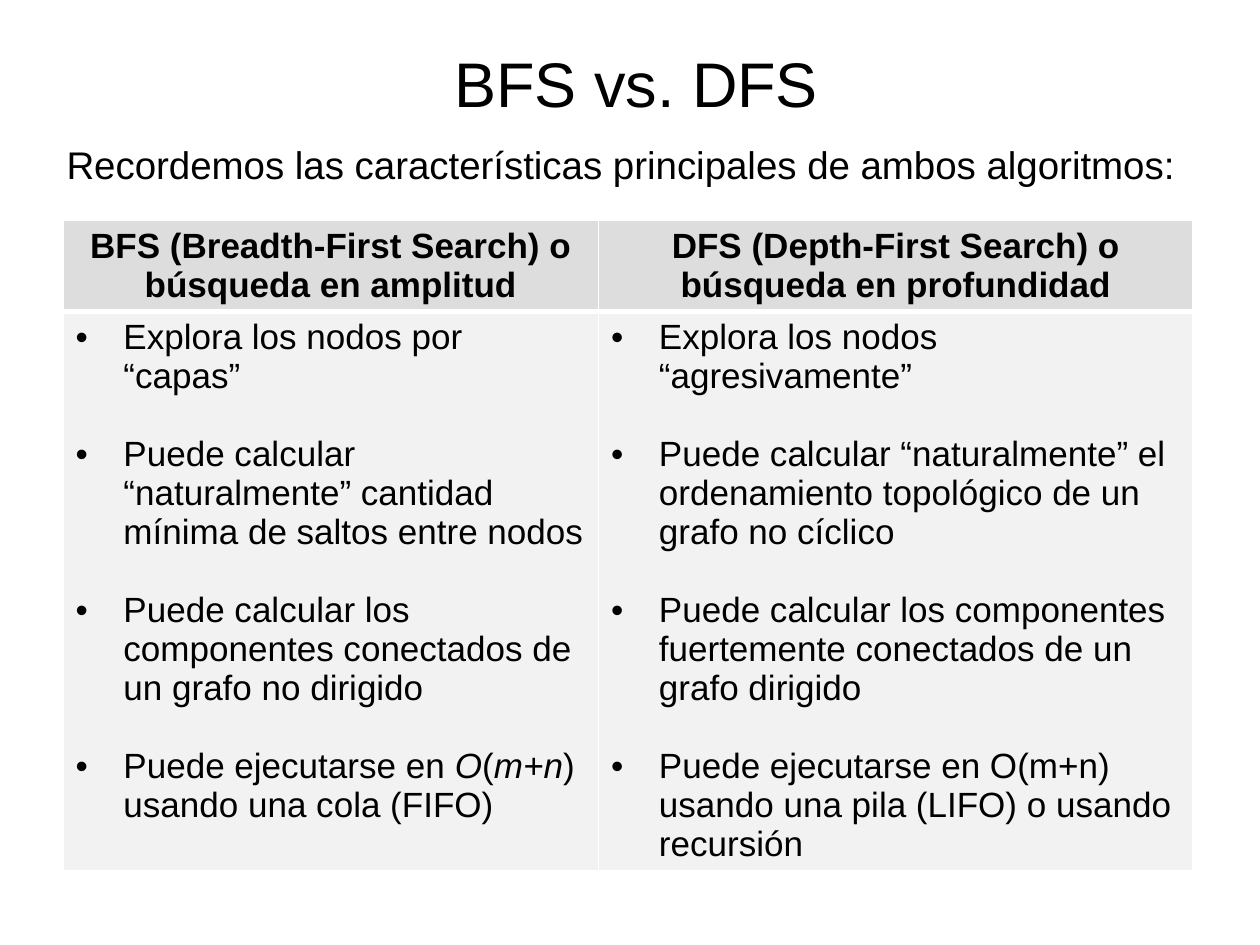
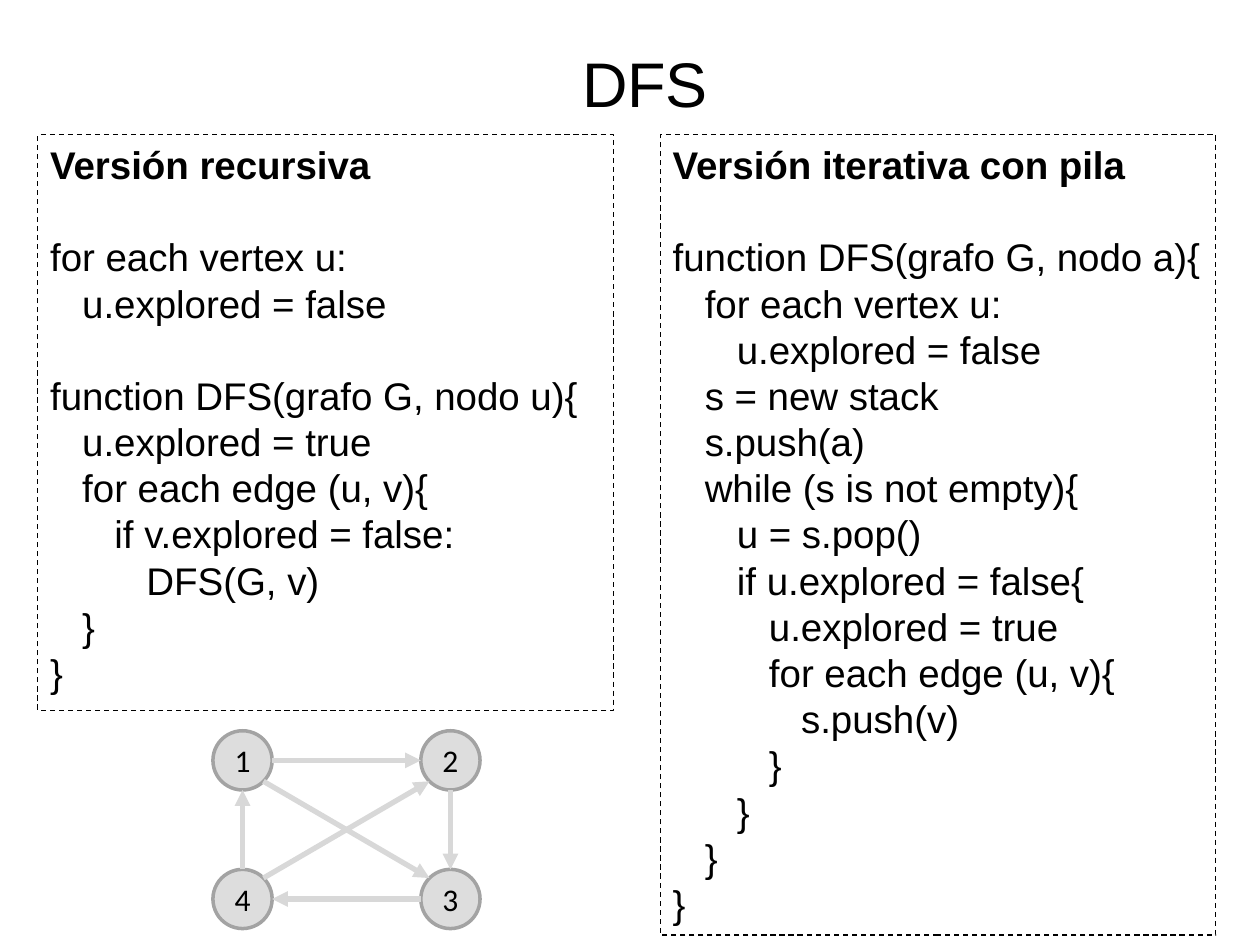
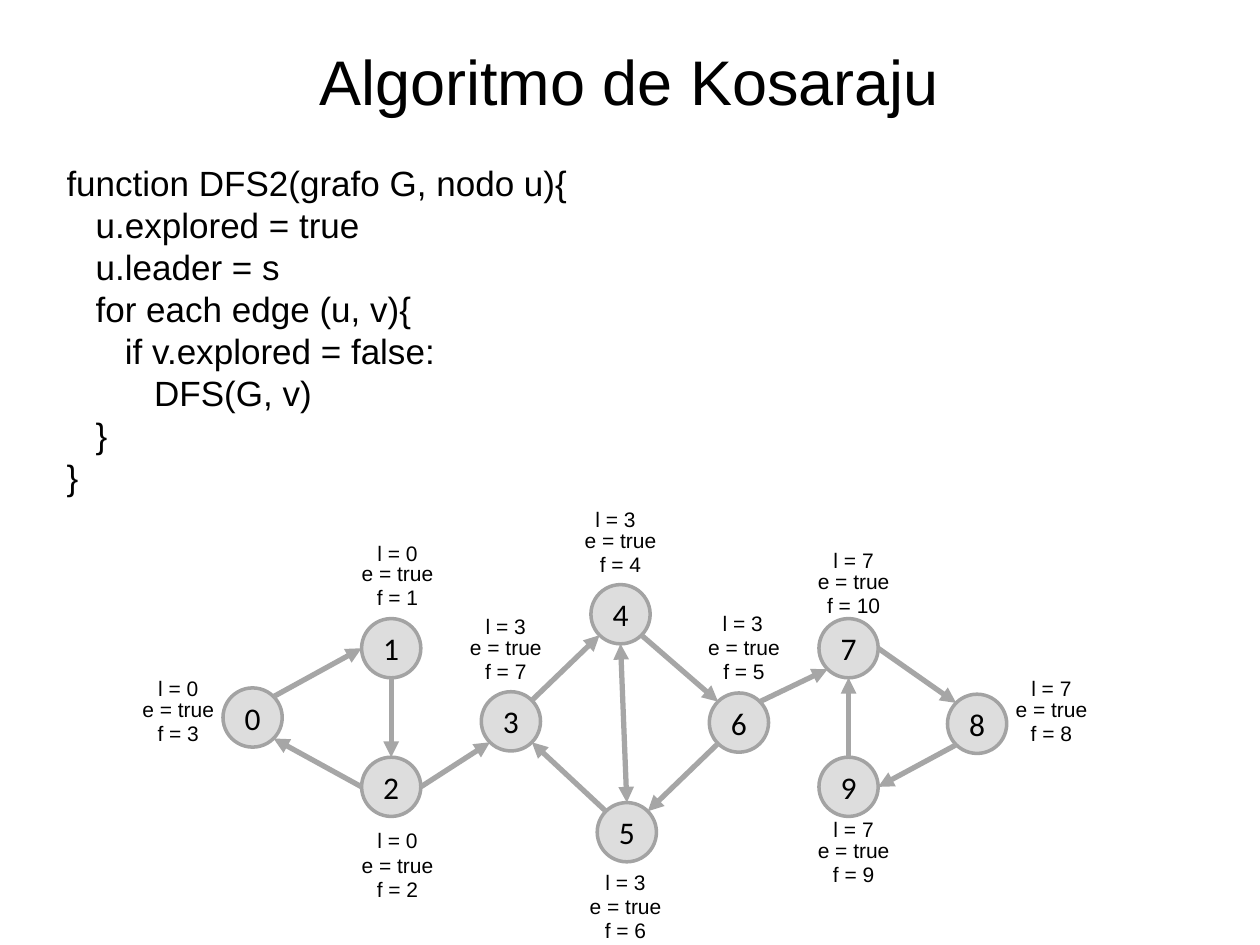
from math import cos, radians, sin

from lxml.etree import SubElement
from pptx import Presentation
from pptx.dml.color import RGBColor
from pptx.enum.dml import MSO_LINE
from pptx.enum.shapes import MSO_CONNECTOR, MSO_SHAPE
from pptx.enum.text import MSO_ANCHOR, MSO_AUTO_SIZE, PP_ALIGN
from pptx.oxml.ns import qn
from pptx.util import Inches, Pt

BLACK, WHITE = "000000", "FFFFFF"
NODE_FILL, NODE_LINE = "DDDDDD", "A3A3A3"
HEAD_FILL, BODY_FILL = "DDDDDD", "F2F2F2"
LIGHT_EDGE, DARK_EDGE = "D8D8D8", "A6A6A6"

TITLE = {"size": Pt(36), "name": "Arial", "bold": False}
NODE = {"size": Pt(18), "name": "Calibri", "bold": False}
LABEL = {"size": Pt(12), "name": "Arial"}
CELL = {"size": Pt(20), "name": "Arial", "bold": False}
HEAD = {**CELL, "bold": True}
CELL_PITCH = Pt(22.3)

NODE_SIZE = 0.47
LABEL_SIZE = (0.87, 0.3)
TITLE_BOX = (0.83, 0.21, 8.58, 0.79)
# Connection sites of a circle: degrees counter-clockwise from the top
SITES = {s: 45 * i for i, s in enumerate(["N", "NW", "W", "SW", "S", "SE", "E", "NE"])}

INTRO = "Recordemos las características principales de ambos algoritmos:"
COMPARISON = [
    (4.25, "BFS (Breadth-First Search) o búsqueda en amplitud", [
        ["Explora los nodos por “capas”"],
        ["Puede calcular “naturalmente” cantidad mínima de saltos entre nodos"],
        ["Puede calcular los componentes conectados de un grafo no dirigido"],
        # every second run is italic
        ["Puede ejecutarse en ", "O", "(", "m+n", ") usando una cola (FIFO)"],
    ]),
    (4.72, "DFS (Depth-First Search) o búsqueda en profundidad", [
        ["Explora los nodos “agresivamente”"],
        ["Puede calcular “naturalmente” el ordenamiento topológico de un grafo no cíclico"],
        ["Puede calcular los componentes fuertemente conectados de un grafo dirigido"],
        ["Puede ejecutarse en O(m+n) usando una pila (LIFO) o usando recursión"],
    ]),
]
ROW_HEIGHTS = (0.72, 4.43)

# Code: (indent level, text); None leaves one line free
ITERATIVE = [
    (0, "Versión iterativa con pila"),
    None,
    (0, "function DFS(grafo G, nodo a){"),
    (1, "for each vertex u:"),
    (2, "u.explored = false"),
    (1, "s = new stack"),
    (1, "s.push(a)"),
    (1, "while (s is not empty){"),
    (2, "u = s.pop()"),
    (2, "if u.explored = false{"),
    (3, "u.explored = true"),
    (3, "for each edge (u, v){"),
    (4, "s.push(v)"),
    (3, "}"),
    (2, "}"),
    (1, "}"),
    (0, "}"),
]
LOOP = [
    (1, "for each edge (u, v){"),
    (2, "if v.explored = false:"),
    (3, "DFS(G, v)"),
    (1, "}"),
    (0, "}"),
]
RECURSIVE = [
    (0, "Versión recursiva"),
    None,
    (0, "for each vertex u:"),
    (1, "u.explored = false"),
    None,
    (0, "function DFS(grafo G, nodo u){"),
    (1, "u.explored = true"),
] + LOOP
DFS2 = [
    (0, "function DFS2(grafo G, nodo u){"),
    (1, "u.explored = true"),
    (1, "u.leader = s"),
] + LOOP
CODE_PANELS = [(ITERATIVE, (5.24, 1.07, 4.41, 6.35)), (RECURSIVE, (0.3, 1.07, 4.57, 4.57))]

# Graphs: node -> left, top; edges: from, site, to, site
SMALL_NODES = {1: (1.69, 5.8), 2: (3.34, 5.8), 3: (3.34, 6.9), 4: (1.69, 6.9)}
SMALL_EDGES = [
    (4, "NE", 2, "SW"), (4, "N", 1, "S"), (1, "E", 2, "W"),
    (2, "S", 3, "N"), (1, "SE", 3, "NW"), (3, "W", 4, "E"),
]
KOSARAJU_NODES = {
    0: (1.77, 5.46), 1: (2.87, 4.91), 2: (2.87, 6.01), 3: (3.82, 5.49), 4: (4.69, 4.64),
    5: (4.74, 6.37), 6: (5.63, 5.5), 7: (6.5, 4.91), 8: (7.52, 5.51), 9: (6.5, 6.01),
}
KOSARAJU_EDGES = [
    (0, "NE", 1, "W"), (1, "S", 2, "N"), (2, "W", 0, "SE"), (2, "E", 3, "SW"),
    (3, "NE", 4, "SW"), (4, "SE", 6, "NW"), (6, "SW", 5, "NE"), (5, "NW", 3, "SE"),
    (4, "S", 5, "N"), (6, "NE", 7, "SW"), (7, "E", 8, "NW"), (8, "SW", 9, "E"),
    (9, "N", 7, "S"),
]
TWO_WAY = [(4, 5)]
# leader, finishing time, place of the leader label, place of the explored label
NODE_LABELS = [
    (0, 3, (0.98, 5.31), (0.98, 5.48)),
    (0, 1, (2.72, 4.24), (2.72, 4.4)),
    (0, 2, (2.72, 6.52), (2.72, 6.72)),
    (3, 7, (3.58, 4.82), (3.58, 4.99)),
    (3, 4, (4.45, 3.97), (4.49, 4.14)),
    (3, 6, (4.53, 6.85), (4.53, 7.04)),
    (3, 5, (5.46, 4.8), (5.47, 4.99)),
    (7, 10, (6.34, 4.3), (6.34, 4.46)),
    (7, 8, (7.91, 5.31), (7.91, 5.48)),
    (7, 9, (6.34, 6.43), (6.34, 6.6)),
]
FINISH_GAP = 0.19


def rgb(color):
    return RGBColor.from_string(color)


def inches(values):
    return [Inches(v) for v in values]


def add_run(p, text, style, **extra):
    r = p.add_run()
    r.text = text
    for name, value in {**style, **extra}.items():
        setattr(r.font, name, value)
    r.font.color.rgb = rgb(BLACK)


def add_title(prs, text, box=TITLE_BOX):
    slide = prs.slides.add_slide(prs.slide_layouts[5])
    sp = slide.shapes.title
    sp.left, sp.top, sp.width, sp.height = inches(box)
    tf = sp.text_frame
    tf.auto_size, tf.vertical_anchor = MSO_AUTO_SIZE.NONE, MSO_ANCHOR.BOTTOM
    p = tf.paragraphs[0]
    p.alignment = PP_ALIGN.CENTER
    add_run(p, text, TITLE)
    return slide


def add_text_box(slide, box):
    sp = slide.shapes.add_textbox(*inches(box))
    sp.text_frame.word_wrap = True
    return sp


def add_shape(slide, kind, box, line, width, fill=None):
    sp = slide.shapes.add_shape(kind, *inches(box))
    sp.shadow.inherit = False
    if fill:
        sp.fill.solid()
        sp.fill.fore_color.rgb = rgb(fill)
    else:
        sp.fill.background()
    sp.line.color.rgb, sp.line.width = rgb(line), Pt(width)
    return sp


def write_lines(tf, lines, size, heading=False):
    """Write indented lines; with heading, the first one is bold."""
    tf.vertical_anchor = MSO_ANCHOR.TOP
    before, p = 0, None
    for line in lines:
        if line is None:
            before = 1.2 * size
            continue
        level, text = line
        bold = heading and p is None
        p = tf.add_paragraph() if p else tf.paragraphs[0]
        p.alignment, p.space_before = PP_ALIGN.JUSTIFY, Pt(before)
        if level:
            p._p.get_or_add_pPr().set("marL", str(Pt(level * 0.834 * size)))
        add_run(p, text, {"size": Pt(size), "name": "Arial", "bold": bold})
        before = 0


def add_nodes(slide, nodes):
    for number, place in nodes.items():
        sp = add_shape(slide, MSO_SHAPE.OVAL, (*place, NODE_SIZE, NODE_SIZE),
                       NODE_LINE, 2, NODE_FILL)
        tf = sp.text_frame
        tf.margin_left = tf.margin_right = tf.margin_top = tf.margin_bottom = 0
        tf.vertical_anchor = MSO_ANCHOR.MIDDLE
        p = tf.paragraphs[0]
        p.alignment = PP_ALIGN.CENTER
        add_run(p, str(number), NODE)


def site_point(place, site):
    angle, radius = radians(SITES[site]), NODE_SIZE / 2
    return place[0] + radius * (1 - sin(angle)), place[1] + radius * (1 - cos(angle))


def add_edges(slide, nodes, edges, color, two_way=()):
    for a, site_a, b, site_b in edges:
        ends = site_point(nodes[a], site_a) + site_point(nodes[b], site_b)
        cx = slide.shapes.add_connector(MSO_CONNECTOR.STRAIGHT, *inches(ends))
        cx.line.color.rgb, cx.line.width = rgb(color), Pt(3)
        ln = cx.line._get_or_add_ln()
        for tag in ["a:headEnd", "a:tailEnd"] if (a, b) in two_way else ["a:tailEnd"]:
            SubElement(ln, qn(tag), type="triangle")
        SubElement(cx._element.spPr, qn("a:effectLst"))


def format_cell(cell, fill, top, bottom):
    tcPr = cell._tc.get_or_add_tcPr()
    for tag, width in {"a:lnL": 1, "a:lnR": 1, "a:lnT": top, "a:lnB": bottom}.items():
        ln = SubElement(tcPr, qn(tag), w=str(Pt(width)))
        SubElement(SubElement(ln, qn("a:solidFill")), qn("a:srgbClr"), val=WHITE)
    cell.fill.solid()
    cell.fill.fore_color.rgb = rgb(fill)


def add_bullet(p, runs):
    pPr = p._p.get_or_add_pPr()
    pPr.set("marL", str(Inches(0.38)))
    pPr.set("indent", str(Inches(-0.38)))
    SubElement(pPr, qn("a:buFont"), typeface="Arial")
    SubElement(pPr, qn("a:buChar"), char="•")
    for i, text in enumerate(runs):
        add_run(p, text, CELL, italic=i % 2 == 1)


def add_comparison(slide):
    widths = [column[0] for column in COMPARISON]
    frame = slide.shapes.add_table(2, len(widths), *inches((0.5, 1.75, sum(widths), sum(ROW_HEIGHTS))))
    table = frame.table
    table.first_row = table.horz_banding = False
    for row, height in zip(table.rows, ROW_HEIGHTS):
        row.height = Inches(height)
    for i, (width, heading, points) in enumerate(COMPARISON):
        table.columns[i].width = Inches(width)
        head, body = table.cell(0, i), table.cell(1, i)
        format_cell(head, HEAD_FILL, 1, 3)
        format_cell(body, BODY_FILL, 3, 1)
        p = head.text_frame.paragraphs[0]
        p.alignment, p.line_spacing = PP_ALIGN.CENTER, CELL_PITCH
        add_run(p, heading, HEAD)
        tf = body.text_frame
        for j, runs in enumerate(points):
            p = tf.add_paragraph() if j else tf.paragraphs[0]
            p.line_spacing = CELL_PITCH
            p.space_before = CELL_PITCH if j else 0
            add_bullet(p, runs)


def add_label(slide, text, place):
    tf = add_text_box(slide, (*place, *LABEL_SIZE)).text_frame
    tf.auto_size = MSO_AUTO_SIZE.SHAPE_TO_FIT_TEXT
    p = tf.paragraphs[0]
    p.alignment = PP_ALIGN.CENTER
    add_run(p, text, LABEL)


def comparison_slide(prs):
    slide = add_title(prs, "BFS vs. DFS ")
    write_lines(add_text_box(slide, (0.43, 1.07, 9.13, 0.71)).text_frame, [(0, INTRO)], 22)
    add_comparison(slide)


def dfs_slide(prs):
    slide = add_title(prs, "DFS")
    for lines, box in CODE_PANELS:
        sp = add_shape(slide, MSO_SHAPE.RECTANGLE, box, BLACK, 0.75)
        sp.line.dash_style = MSO_LINE.DASH
        write_lines(sp.text_frame, lines, 22, heading=True)
    add_nodes(slide, SMALL_NODES)
    add_edges(slide, SMALL_NODES, SMALL_EDGES, LIGHT_EDGE)


def kosaraju_slide(prs):
    slide = add_title(prs, "Algoritmo de Kosaraju", (0.43, 0.36, 9.13, 0.63))
    write_lines(add_text_box(slide, (0.43, 1.23, 8.9, 3.07)).text_frame, DFS2, 20)
    add_nodes(slide, KOSARAJU_NODES)
    add_edges(slide, KOSARAJU_NODES, KOSARAJU_EDGES, DARK_EDGE, TWO_WAY)
    for leader, finish, leader_at, (left, top) in NODE_LABELS:
        add_label(slide, f"l = {leader}", leader_at)
        add_label(slide, "e = true", (left, top))
        add_label(slide, f"f = {finish}", (left, top + FINISH_GAP))


def main():
    prs = Presentation()
    prs.slide_width, prs.slide_height = Inches(10), Inches(7.5)
    comparison_slide(prs)
    dfs_slide(prs)
    kosaraju_slide(prs)
    prs.save("out.pptx")


if __name__ == "__main__":
    main()
